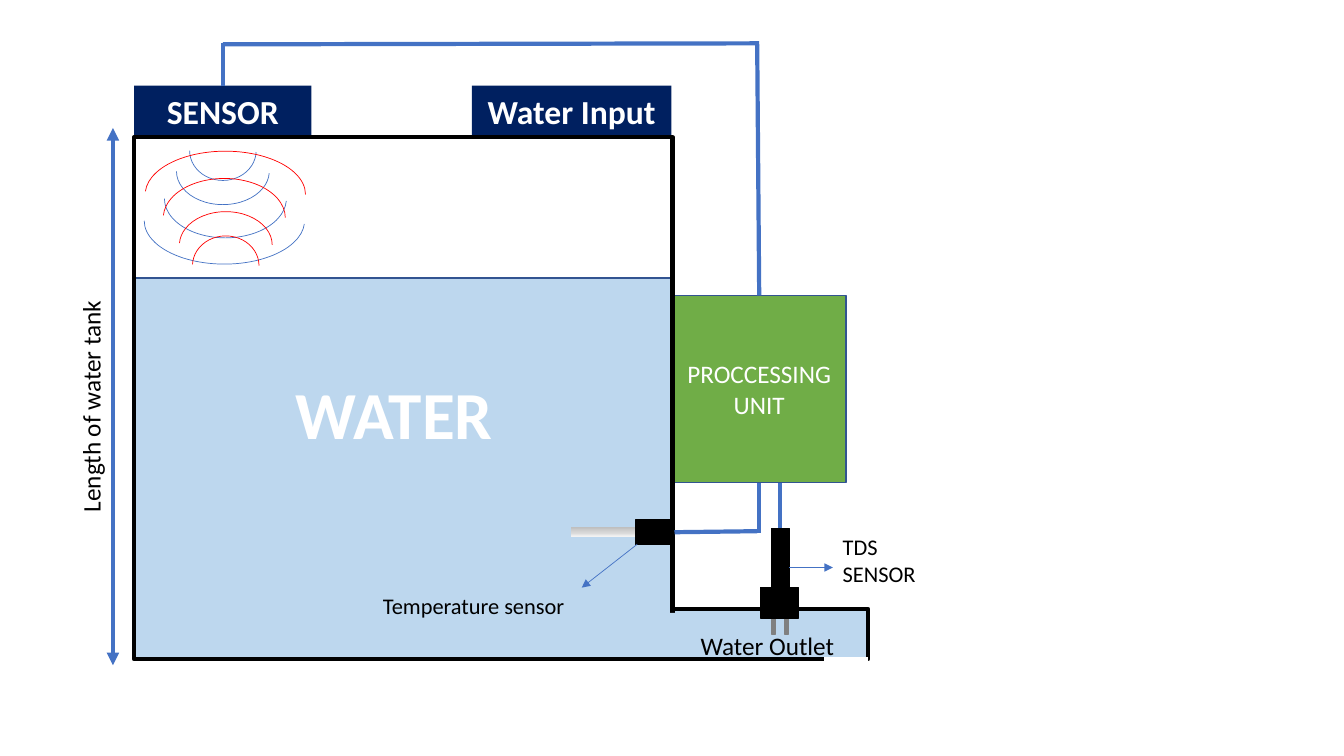
"""Draw a water tank with its level, temperature and TDS sensors on one slide."""
from copy import deepcopy
from dataclasses import dataclass

from lxml.etree import SubElement
from pptx import Presentation
from pptx.dml.color import RGBColor
from pptx.enum.shapes import MSO_CONNECTOR as Connector, MSO_SHAPE as Shape
from pptx.enum.text import MSO_ANCHOR as Anchor, PP_ALIGN as Align
from pptx.oxml.ns import qn
from pptx.util import Inches, Pt


@dataclass(frozen=True)
class Theme:
    font: str = "Calibri"
    water: str = "BDD7EE"
    navy: str = "002060"
    green: str = "70AD47"
    edge: str = "325491"
    wire: str = "4472C4"
    echo: str = "FF0000"
    black: str = "000000"
    white: str = "FFFFFF"
    prong: str = "808080"
    metal: tuple = ((0, "BFBFBF"), (0.65, "D9D9D9"), (1, "F2F2F2"))
    small: int = 16
    body: int = 18
    heading: int = 24
    display: int = 48
    thick: float = 3
    thin: float = 1
    hair: float = 0.5


theme = Theme()
deck = Presentation()
deck.slide_width, deck.slide_height = Inches(13.33), Inches(7.5)
slide = deck.slides.add_slide(deck.slide_layouts[6])
cell = deck.slide_width / 133.3


def write(holder, text, size=theme.body, color=theme.black, bold=False,
          align=Align.LEFT, anchor=Anchor.TOP):
    frame = holder.text_frame
    frame.word_wrap, frame.vertical_anchor = True, anchor
    paragraph = frame.paragraphs[0]
    paragraph.text, paragraph.alignment = text, align
    paragraph.font.name, paragraph.font.size = theme.font, Pt(size)
    paragraph.font.bold, paragraph.font.color.rgb = bold, RGBColor.from_string(color)


def place(preset, box, fill=None, line=None, weight=theme.thin):
    part = slide.shapes.add_shape(preset, *[int(n * cell) for n in box])
    part.shadow.inherit = False
    if fill:
        part.fill.solid()
        part.fill.fore_color.rgb = RGBColor.from_string(fill)
    else:
        part.fill.background()
    if line:
        part.line.color.rgb = RGBColor.from_string(line)
        part.line.width = Pt(weight)
    else:
        part.line.fill.background()
    return part


left, right, top, floor = 13.3, 66.7, 13.6, 65.4
lid, ledge, outlet_end = 8.5, 60.4, 86.1

place(Shape.RECTANGLE, (left, 27.6, 53.5, floor - 27.6), theme.water, theme.edge)

for text, column, width in (("Water Input", 46.8, 19.8), ("SENSOR", left, 17.6)):
    write(place(Shape.RECTANGLE, (column, lid, width, 5), theme.navy), text,
          size=theme.heading, color=theme.white, bold=True, align=Align.CENTER)

write(place(Shape.RECTANGLE, (right, 29.3, 17.2, 18.6), theme.green, theme.edge),
      "PROCCESSING UNIT", color=theme.white, align=Align.CENTER, anchor=Anchor.MIDDLE)

probe = place(Shape.RECTANGLE, (56.6, 52.3, 6.7, 0.9))
probe.fill.gradient()
probe.fill.gradient_angle = 270
first_stop = probe.element.spPr.find(".//" + qn("a:gs"))
first_stop.addnext(deepcopy(first_stop))
for stop, (position, shade) in zip(probe.fill.gradient_stops, theme.metal):
    stop.position, stop.color.rgb = position, RGBColor.from_string(shade)

for box, fill, line, weight in (
    ((63, 51.6, 3.8, 2.4), theme.black, theme.black, theme.thin),
    ((left, top, right - left, floor - top), None, theme.black, theme.thick),
    ((right, ledge, outlet_end - right, floor - ledge), theme.water, theme.black, theme.thick),
    ((76.5, 52.4, 1.8, 7.9), theme.black, theme.black, theme.thin),
    ((76.5, 61.3, 0.4, 1.6), theme.prong, theme.prong, theme.thin),
    ((77.8, 61.3, 0.4, 1.6), theme.prong, theme.prong, theme.thin),
    ((75.4, 58.3, 3.8, 3), theme.black, theme.black, theme.thin),
    ((65.5, 60.8, 2.6, 4.6), theme.water, None, theme.thin),
):
    place(Shape.RECTANGLE, box, fill, line, weight)

for text, box, turn, style in (
    ("WATER", (28, 36.4, 22.2, 9.1), 0,
     dict(size=theme.display, color=theme.white, bold=True, align=Align.CENTER)),
    ("Water Outlet", (68.5, 62, 15.8, 4), 0, {}),
    ("Temperature sensor", (37, 58.3, 20.4, 3.7), 0, dict(size=theme.small)),
    ("TDS SENSOR", (82.6, 52.4, 10.1, 6.4), 0, dict(size=theme.small)),
    ("Length of water tank", (-6.9, 33.9, 31.8, 4), 270, {}),
):
    label = slide.shapes.add_textbox(*[int(n * cell) for n in box])
    label.rotation = turn
    write(label, text, **style)

waves = ((6.6, 5.9), (9.2, 6.6), (12.1, 7.8), (15.9, 8.6))
pulses = ((18.8, 12), (17.5, 13.7), (16.3, 15.8), (14.3, 17.6))
echoes = ((19.1, 23.4), (17.8, 21), (16.2, 17.7), (14.4, 15))
for corners, color, turn in ((pulses, theme.wire, 180), (echoes, theme.echo, 0)):
    for corner, extent in zip(corners, waves):
        wave = place(Shape.ARC, corner + extent, line=color, weight=theme.hair)
        wave.adjustments[0], wave.adjustments[1] = 109.374, 0
        wave.rotation = turn

for start, end, color, weight, arrows in (
    ((outlet_end, floor), (81.7, floor), theme.white, theme.thick, ()),
    ((61.4, floor), (70.6, floor), theme.black, theme.thick, ()),
    ((66.9, 52.8), (75.1, 52.7), theme.wire, theme.thick, ()),
    ((75.3, 52.9), (75.3, 47.9), theme.wire, theme.thick, ()),
    ((77.4, 52.4), (77.4, 47.9), theme.wire, theme.thick, ()),
    ((22.1, lid), (22.1, 4.3), theme.wire, theme.thick, ()),
    ((22.1, 4.4), (75.3, 4.3), theme.wire, theme.thick, ()),
    ((75.1, 4.4), (75.3, 29.3), theme.wire, theme.thick, ()),
    ((63.2, 54), (57.7, 58.3), theme.wire, theme.hair, ("a:tailEnd",)),
    ((78.3, 56.3), (82.6, 56.3), theme.wire, theme.hair, ("a:tailEnd",)),
    ((11.2, 12.7), (11.2, 66), theme.wire, theme.thick, ("a:headEnd", "a:tailEnd")),
):
    link = slide.shapes.add_connector(
        Connector.STRAIGHT, *[int(n * cell) for n in start + end])
    link.line.color.rgb, link.line.width = RGBColor.from_string(color), Pt(weight)
    for arrow in arrows:
        SubElement(link.line._get_or_add_ln(), qn(arrow), type="triangle")
    SubElement(link.element.spPr, qn("a:effectLst"))

deck.save("out.pptx")
